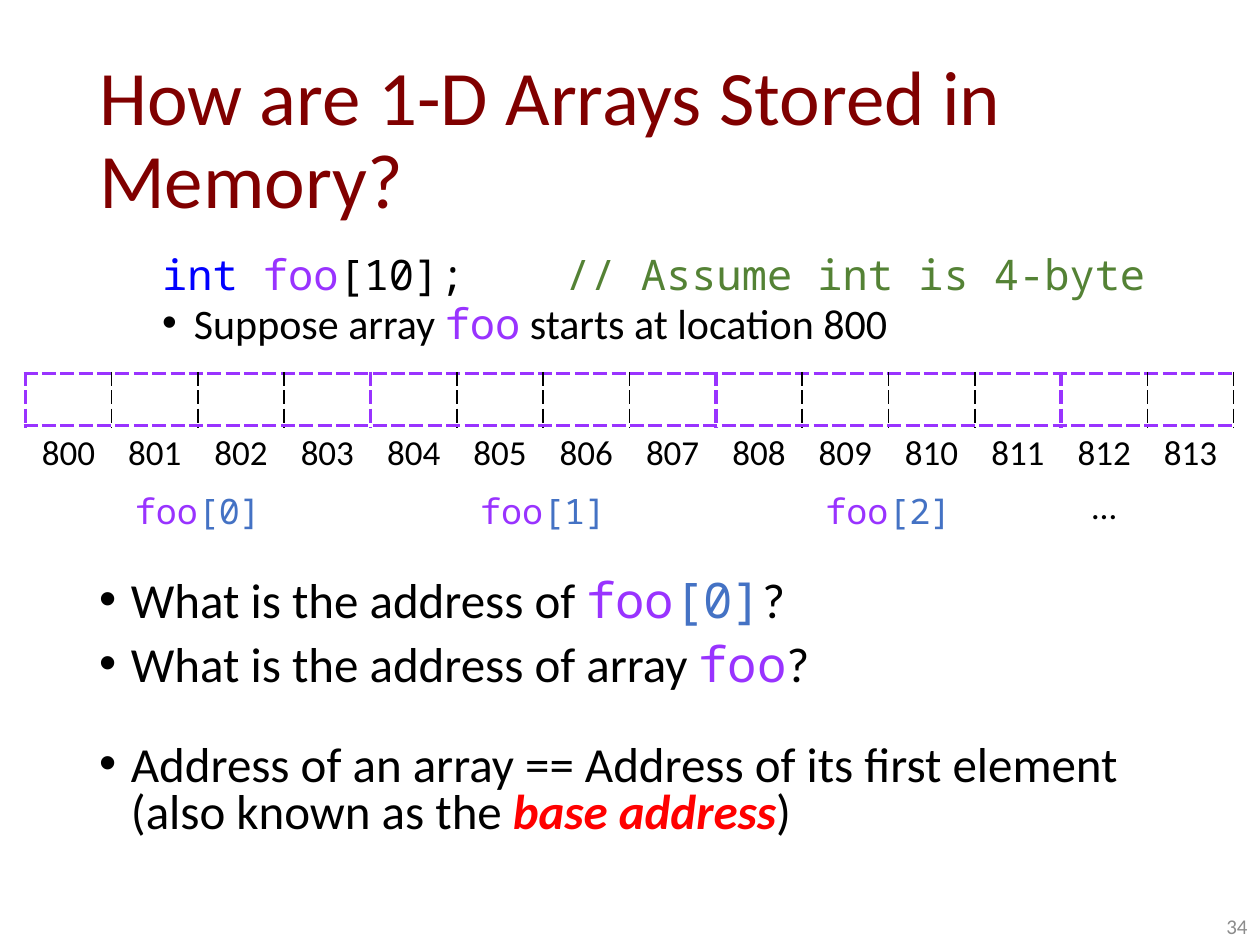
from lxml import etree
from pptx import Presentation
from pptx import util as u
from pptx.dml.color import RGBColor
from pptx.enum import text
from pptx.oxml import ns

MAROON = RGBColor(0x80, 0x00, 0x00)
BLUE = RGBColor(0x00, 0x00, 0xFF)
PURPLE = RGBColor(0x99, 0x33, 0xFF)
GREEN = RGBColor(0x54, 0x82, 0x35)
INDEX_BLUE = RGBColor(0x44, 0x72, 0xC4)
RED = RGBColor(0xFF, 0x00, 0x00)
GRAY = RGBColor(0x8C, 0x8C, 0x8C)
BLACK = RGBColor(0x00, 0x00, 0x00)

SANS, MONO = "Calibri", "Noto Sans Mono"
NO_GRID_STYLE = "{2D5ABB26-0587-4C30-8999-92F81FD0307C}"
FIRST_ADDRESS, BYTES, INT_SIZE = 800, 14, 4
ELEMENT_EDGE, BYTE_EDGE = (PURPLE, 2.25), (BLACK, 1)

FOO = ("foo", PURPLE, MONO)


def element(index):
    return [FOO, (f"[{index}]", INDEX_BLUE, MONO)]


class Deck:
    """Holds the style and the current slide."""

    def __init__(self):
        self.prs = Presentation()
        self.prs.slide_width, self.prs.slide_height = u.Cm(25.4), u.Cm(19.05)
        self.slide = self.prs.slides.add_slide(self.prs.slide_layouts[6])

    def box(self, left, top, width, height, anchor=text.MSO_ANCHOR.TOP):
        shape = self.slide.shapes.add_textbox(
            u.Cm(left), u.Cm(top), u.Cm(width), u.Cm(height))
        frame = shape.text_frame
        frame.word_wrap = True
        frame.vertical_anchor = anchor
        return frame

    def paragraph(self, frame, runs, size, align=None, spacing=None,
                  before=0, margin=0, bullet=False):
        """Each run is (words, colour, font, emphasised), the last three optional."""
        line = frame.paragraphs[0]
        if line.runs:
            line = frame.add_paragraph()
        line.alignment = align
        line.line_spacing = spacing
        line.space_before = u.Pt(before)
        props = line._p.get_or_add_pPr()
        props.set("marL", str(u.Cm(margin)))
        if bullet:
            props.set("indent", str(-u.Cm(0.64)))
            etree.SubElement(props, ns.qn("a:buFont")).set("typeface", "Arial")
            etree.SubElement(props, ns.qn("a:buChar")).set("char", "•")
        for words, *style in runs:
            colour, font, strong = style + [BLACK, SANS, False][len(style):]
            run = line.add_run()
            run.text = words
            run.font.size = u.Pt(size)
            run.font.name = font
            run.font.color.rgb = colour
            if strong:
                run.font.bold = run.font.italic = True

    def table(self, left, top, columns, rows, column_width, row_height):
        frame = self.slide.shapes.add_table(
            rows, columns, u.Cm(left), u.Cm(top),
            u.Cm(column_width * columns), u.Cm(row_height * rows))
        grid = frame.table
        grid.first_row = grid.horz_banding = False
        grid._tbl.find(".//" + ns.qn("a:tableStyleId")).text = NO_GRID_STYLE
        for column in grid.columns:
            column.width = u.Cm(column_width)
        for row in grid.rows:
            row.height = u.Cm(row_height)
        return grid

    def borders(self, cell, **edges):
        """Dashed edges, given in the order L, R, T, B."""
        props = cell._tc.get_or_add_tcPr()
        for side, (colour, width) in edges.items():
            line = etree.SubElement(props, ns.qn(f"a:ln{side}"), w=str(u.Pt(width)))
            fill = etree.SubElement(line, ns.qn("a:solidFill"))
            etree.SubElement(fill, ns.qn("a:srgbClr"), val=str(colour))
            etree.SubElement(line, ns.qn("a:prstDash"), val="dash")

    def cell_text(self, cell, runs):
        cell.vertical_anchor = text.MSO_ANCHOR.MIDDLE
        self.paragraph(cell.text_frame, runs, 20, text.PP_ALIGN.CENTER)


def main():
    deck = Deck()

    # Title
    title = deck.box(1.75, 1.02, 21.89, 3.68, text.MSO_ANCHOR.MIDDLE)
    deck.paragraph(title, [("How are 1-D Arrays Stored in Memory?", MAROON)],
                   44, spacing=0.9)

    # Declaration
    declaration = deck.box(1.75, 5.08, 21.89, 2.2)
    deck.paragraph(declaration, [
        ("int ", BLUE, MONO), FOO, ("[10];    ", BLACK, MONO),
        ("// Assume int is 4-byte", GREEN, MONO)], 24, spacing=0.8, margin=1.27)
    deck.paragraph(declaration, [
        ("Suppose array ",), FOO, (" starts at location 800",)],
        24, spacing=0.8, before=5, margin=1.91, bullet=True)

    # Questions and answer
    questions = deck.box(1.75, 11.58, 21.89, 5.6)
    for runs, before in [
        ([("What is the address of ",), *element(0), ("?",)], 0),
        ([("What is the address of array ",), FOO, ("?",)], 10),
        ([("Address of an array == Address of its first element "
           "(also known as the ",),
          ("base address", RED, SANS, True), (")",)], 30),
    ]:
        deck.paragraph(questions, runs, 28, spacing=0.8, before=before,
                       margin=0.64, bullet=True)

    # Slide number
    number = deck.box(19.69, 18.03, 5.71, 1.02, text.MSO_ANCHOR.BOTTOM)
    deck.paragraph(number, [("34", GRAY)], 12, text.PP_ALIGN.RIGHT)

    # Memory: one column per byte, with its address below
    memory = deck.table(0.51, 7.53, BYTES, 3, 1.74, 1.05)
    for byte in range(BYTES):
        starts = byte % INT_SIZE == 0
        ends = byte % INT_SIZE == INT_SIZE - 1
        deck.borders(memory.cell(0, byte),
                     L=ELEMENT_EDGE if starts else BYTE_EDGE,
                     R=ELEMENT_EDGE if ends else BYTE_EDGE,
                     T=ELEMENT_EDGE, B=ELEMENT_EDGE)
        deck.cell_text(memory.cell(1, byte), [(str(FIRST_ADDRESS + byte),)])
        for row in range(3):
            memory.cell(row, byte).fill.background()

    # Array elements under their four bytes
    whole = BYTES // INT_SIZE
    for index in range(whole):
        first = memory.cell(2, index * INT_SIZE)
        first.merge(memory.cell(2, (index + 1) * INT_SIZE - 1))
        deck.cell_text(first, element(index))
    deck.cell_text(memory.cell(2, whole * INT_SIZE), [("…",)])

    deck.prs.save("out.pptx")


if __name__ == "__main__":
    main()
